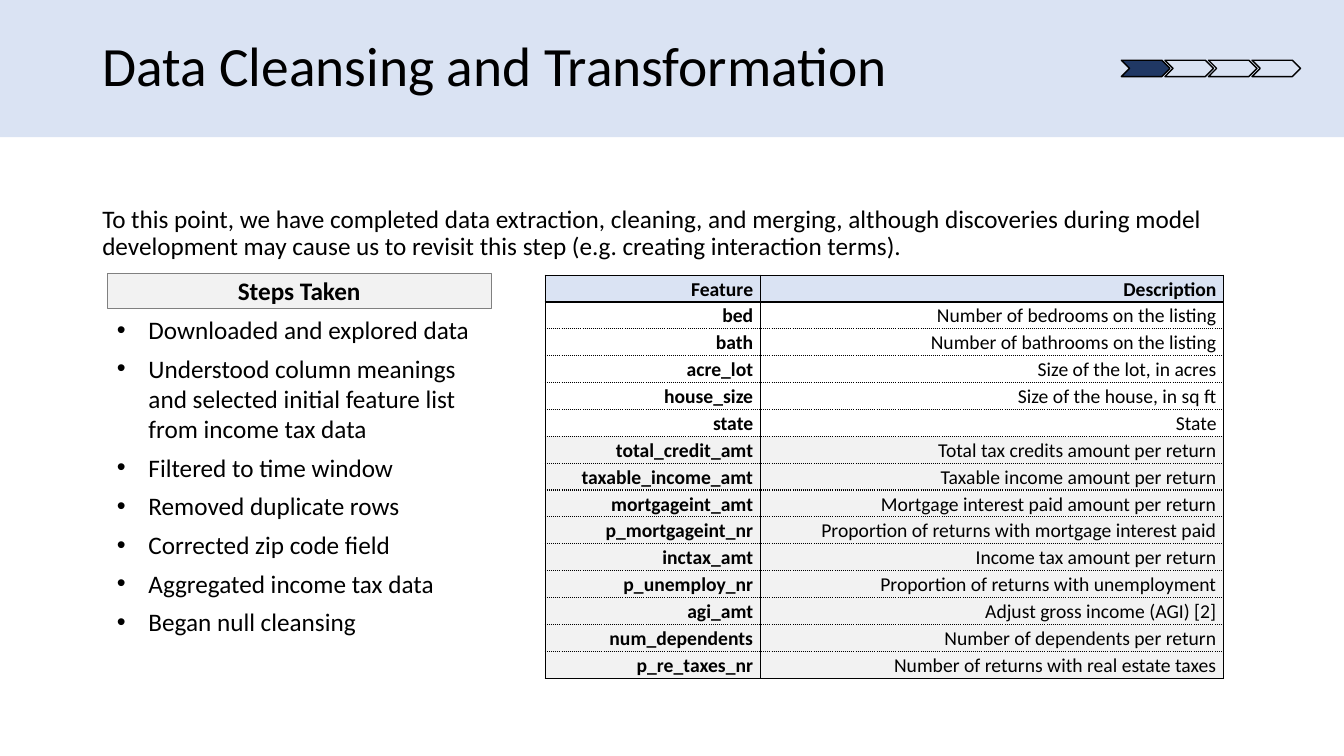
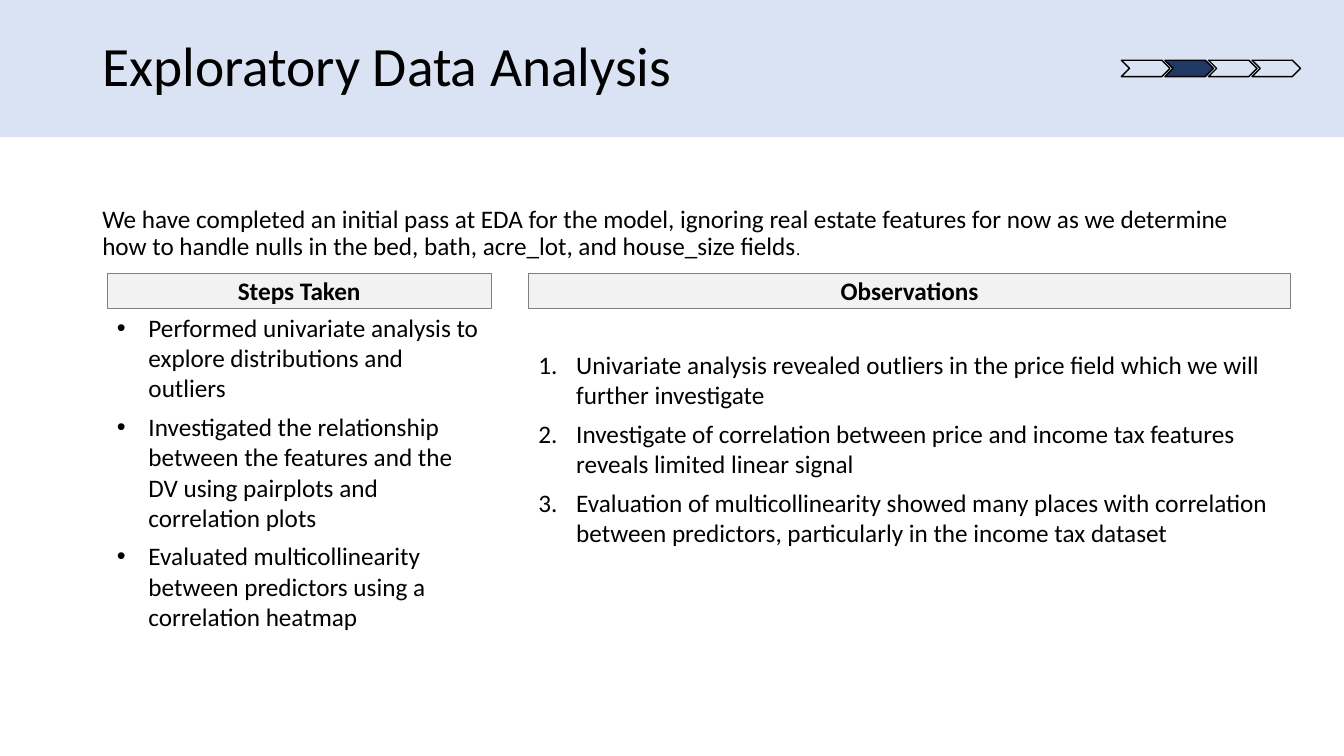
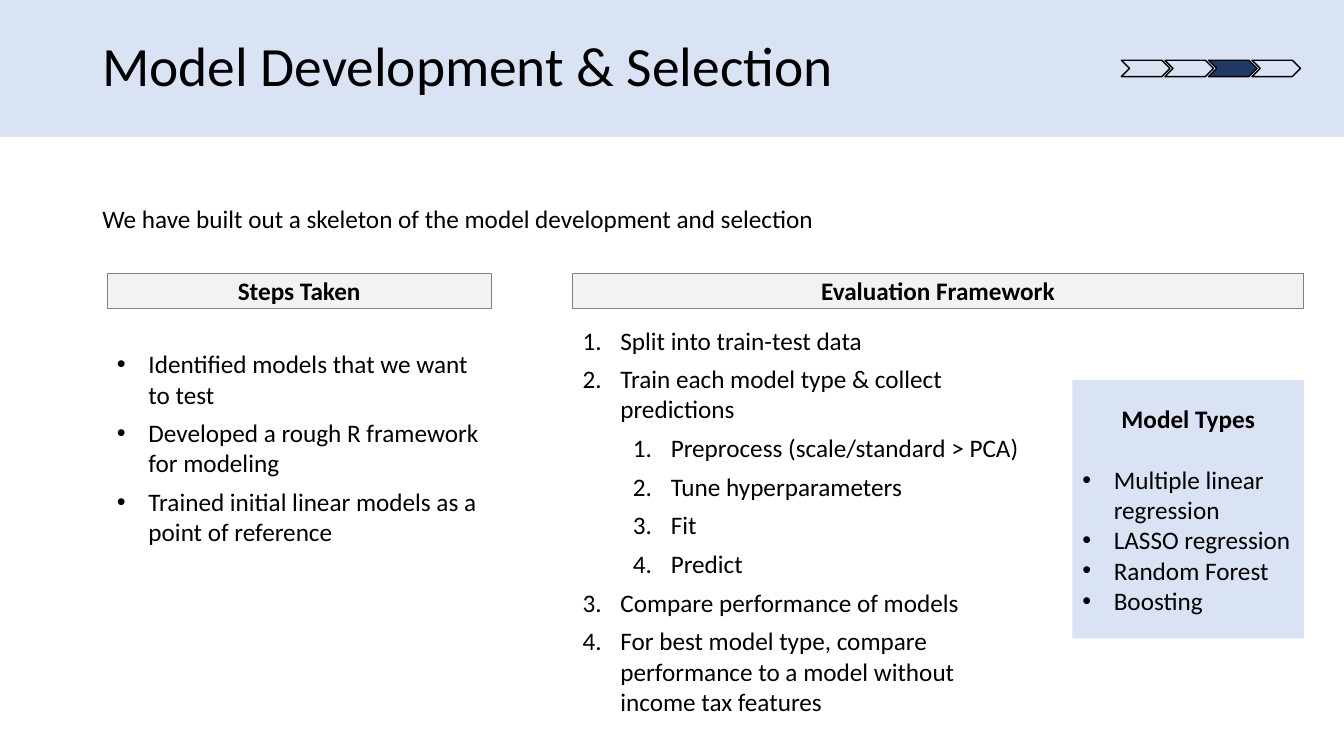
"""Build three slides on the steps of a house price model."""
from lxml.etree import SubElement as Sub
from pptx import Presentation
from pptx.dml.color import RGBColor as Rgb
from pptx.enum.shapes import MSO_SHAPE as Shape
from pptx.enum.text import MSO_ANCHOR as Anchor, PP_ALIGN as Align
from pptx.oxml.ns import qn
from pptx.util import Pt

HUE = {"band": "DAE3F3", "dark": "203864", "head": "F2F2F2", "edge": "808080", "ink": "000000"}
FONT = "Calibri"
WIDE, HIGH, BAND = 960, 540, 98
STEPS = 4
BULLET = {"indent": 22.5, "tag": "buChar", "mark": {"char": "•"}}
NUMBER = {"indent": 27, "tag": "buAutoNum", "mark": {"type": "arabicPeriod"}}
NEST = 36

FIELDS = [
    ("Feature", "Description"),
    ("bed", "Number of bedrooms on the listing"),
    ("bath", "Number of bathrooms on the listing"),
    ("acre_lot", "Size of the lot, in acres"),
    ("house_size", "Size of the house, in sq ft"),
    ("state", "State"),
    ("total_credit_amt", "Total tax credits amount per return"),
    ("taxable_income_amt", "Taxable income amount per return"),
    ("mortgageint_amt", "Mortgage interest paid amount per return"),
    ("p_mortgageint_nr", "Proportion of returns with mortgage interest paid"),
    ("inctax_amt", "Income tax amount per return"),
    ("p_unemploy_nr", "Proportion of returns with unemployment"),
    ("agi_amt", "Adjust gross income (AGI) [2]"),
    ("num_dependents", "Number of dependents per return"),
    ("p_re_taxes_nr", "Number of returns with real estate taxes"),
]
TAX_ROW = 6

SLIDES = [
    {
        "title": "Data Cleansing and Transformation",
        "intro": [("To this point, we have completed data extraction, cleaning, and merging, although "
                   "discoveries during model development may cause us to revisit this step "
                   "(e.g. creating interaction terms).", 18)],
        "heads": [("Steps Taken", 76.5, 274.5)],
        "lists": [((76.5, 221, 274.5, 240), BULLET, [
            (0, "Downloaded and explored data"),
            (0, "Understood column meanings and selected initial feature list from income tax data"),
            (0, "Filtered to time window"),
            (0, "Removed duplicate rows"),
            (0, "Corrected zip code field"),
            (0, "Aggregated income tax data"),
            (0, "Began null cleansing"),
        ])],
        "table": FIELDS,
    },
    {
        "title": "Exploratory Data Analysis",
        "intro": [("We have completed an initial pass at EDA for the model, ignoring real estate "
                   "features for now as we determine how to handle nulls in the bed, bath, "
                   "acre_lot, and house_size fields", 18), (".", 12)],
        "heads": [("Steps Taken", 76.5, 274.5), ("Observations", 377.5, 544.5)],
        "lists": [
            ((76.5, 219.5, 274.5, 238), BULLET, [
                (0, "Performed univariate analysis to explore distributions and outliers"),
                (0, "Investigated the relationship between the features and the DV using "
                    "pairplots and correlation plots"),
                (0, "Evaluated multicollinearity between predictors using a correlation heatmap"),
            ]),
            ((377.5, 246, 552, 150), NUMBER, [
                (0, "Univariate analysis revealed outliers in the price field which we will "
                    "further investigate"),
                (0, "Investigate of correlation between price and income tax features reveals "
                    "limited linear signal"),
                (0, "Evaluation of multicollinearity showed many places with correlation between "
                    "predictors, particularly in the income tax dataset"),
            ]),
        ],
    },
    {
        "title": "Model Development & Selection",
        "intro": [("We have built out a skeleton of the model development and selection", 18)],
        "heads": [("Steps Taken", 76.5, 274.5), ("Evaluation Framework", 409, 522)],
        "lists": [
            ((76.5, 245.5, 274.5, 150), BULLET, [
                (0, "Identified models that we want to test"),
                (0, "Developed a rough R framework for modeling"),
                (0, "Trained initial linear models as a point of reference"),
            ]),
            ((409, 228.5, 328.5, 289.5), NUMBER, [
                (0, "Split into train-test data"),
                (0, "Train each model type & collect predictions"),
                (1, "Preprocess (scale/standard > PCA)"),
                (1, "Tune hyperparameters"),
                (1, "Fit"),
                (1, "Predict"),
                (0, "Compare performance of models"),
                (0, "For best model type, compare performance to a model without income tax features"),
            ]),
        ],
        "models": ("Model Types", ["Multiple linear regression", "LASSO regression",
                                   "Random Forest", "Boosting"]),
    },
]


def assign(target, **values):
    for name, value in values.items():
        setattr(target, name, value)


def write(par, text, size=18, bold=False, **form):
    run = par.add_run()
    run.text = text
    assign(run.font, name=FONT, size=Pt(size), bold=bold)
    run.font.color.rgb = Rgb.from_string(HUE["ink"])
    assign(par, **form)


def text_box(slide, box, anchor=Anchor.TOP):
    frame = slide.shapes.add_textbox(*map(Pt, box)).text_frame
    assign(frame, word_wrap=True, vertical_anchor=anchor)
    return frame


def block(slide, kind, box, fill, line=None, width=1):
    shape = slide.shapes.add_shape(kind, *map(Pt, box))
    shape.shadow.inherit = False
    shape.fill.solid()
    shape.fill.fore_color.rgb = Rgb.from_string(HUE[fill])
    if line:
        shape.line.color.rgb = Rgb.from_string(HUE[line])
        shape.line.width = Pt(width)
    else:
        shape.line.fill.background()
    assign(shape.text_frame, word_wrap=True, vertical_anchor=Anchor.MIDDLE)
    return shape.text_frame


def add_items(frame, items, style, gap=6, fresh=True):
    for level, text in items:
        par = frame.paragraphs[0] if fresh else frame.add_paragraph()
        fresh = False
        write(par, text, level=level, space_after=Pt(gap), alignment=Align.LEFT)
        props = par._p.get_or_add_pPr()
        props.set("marL", str(Pt(style["indent"] + NEST * level)))
        props.set("indent", str(-Pt(style["indent"])))
        Sub(props, qn("a:buFont"), typeface="Arial" if style is BULLET else "+mj-lt")
        Sub(props, qn("a:" + style["tag"]), **style["mark"])


def add_edge(cell, side, dash):
    line = Sub(cell._tc.get_or_add_tcPr(), qn("a:ln" + side), w=str(Pt(1)))
    Sub(Sub(line, qn("a:solidFill")), qn("a:srgbClr"), val=HUE["ink"])
    Sub(line, qn("a:prstDash"), val=dash)


def add_fields(slide, rows):
    widths, height = (153.5, 331), 19.2
    box = (389.5, 196.5, sum(widths), height * len(rows))
    table = slide.shapes.add_table(len(rows), len(widths), *map(Pt, box)).table
    assign(table, first_row=False, horz_banding=False)
    for col, width in zip(table.columns, widths):
        col.width = Pt(width)
    for i, row in enumerate(rows):
        table.rows[i].height = Pt(height)
        dashes = {"L": "solid", "R": "solid",
                  "T": "solid" if i < 2 else "sysDot",
                  "B": "solid" if i in (0, len(rows) - 1) else "sysDot"}
        for j, text in enumerate(row):
            cell = table.cell(i, j)
            assign(cell, margin_left=Pt(5), margin_right=Pt(5), margin_top=0, margin_bottom=0,
                   vertical_anchor=Anchor.MIDDLE)
            write(cell.text_frame.paragraphs[0], text, 14, i == 0 or j == 0,
                  alignment=Align.RIGHT, line_spacing=1.07)
            for side, dash in dashes.items():
                add_edge(cell, side, dash)
            if 0 < i < TAX_ROW:
                cell.fill.background()
            else:
                cell.fill.solid()
                cell.fill.fore_color.rgb = Rgb.from_string(HUE["head" if i else "band"])


def add_models(slide, title, names):
    frame = block(slide, Shape.RECTANGLE, (766, 271.5, 165.5, 184.5), "band")
    write(frame.paragraphs[0], title, bold=True, alignment=Align.CENTER, space_after=Pt(22))
    add_items(frame, [(0, name) for name in names], BULLET, gap=0, fresh=False)


def add_frame(slide, title, intro, step):
    block(slide, Shape.RECTANGLE, (0, 0, WIDE, BAND), "band")
    write(text_box(slide, (66, 23, 828, 52), Anchor.MIDDLE).paragraphs[0], title, 39.6,
          line_spacing=0.9)
    par = text_box(slide, (66, 144, 828, 52)).paragraphs[0]
    for text, size in intro:
        write(par, text, size, line_spacing=0.9)
    for i in range(STEPS):
        block(slide, Shape.CHEVRON, (801 + 31.1 * i, 43, 34.7, 11.7),
              "dark" if i == step else "band", "ink")


def main():
    deck = Presentation()
    assign(deck, slide_width=Pt(WIDE), slide_height=Pt(HIGH))
    for step, data in enumerate(SLIDES):
        slide = deck.slides.add_slide(deck.slide_layouts[6])
        add_frame(slide, data["title"], data["intro"], step)
        for text, left, width in data["heads"]:
            head = block(slide, Shape.RECTANGLE, (left, 195.5, width, 24.5), "head", "edge", 0.5)
            write(head.paragraphs[0], text, bold=True, alignment=Align.CENTER)
        for box, style, items in data["lists"]:
            add_items(text_box(slide, box), items, style)
        if "table" in data:
            add_fields(slide, data["table"])
        if "models" in data:
            add_models(slide, *data["models"])
    deck.save("out.pptx")


if __name__ == "__main__":
    main()
